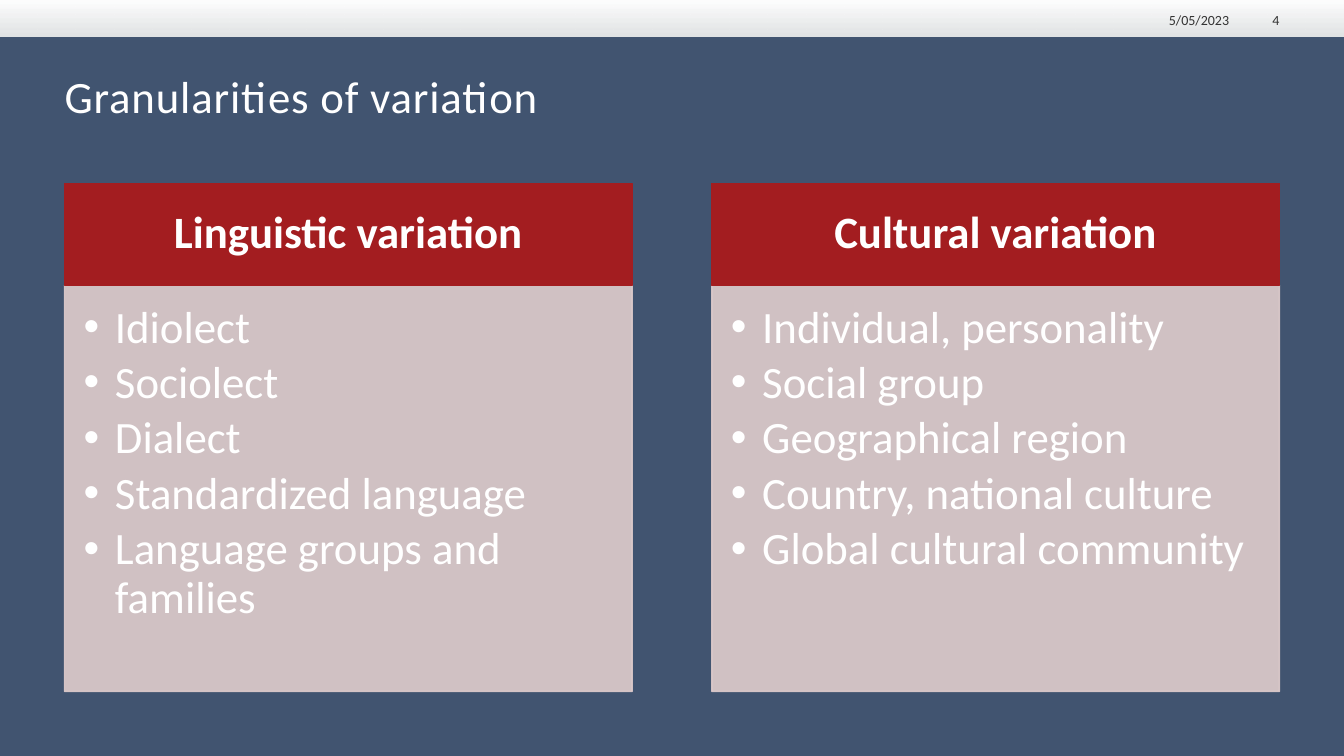
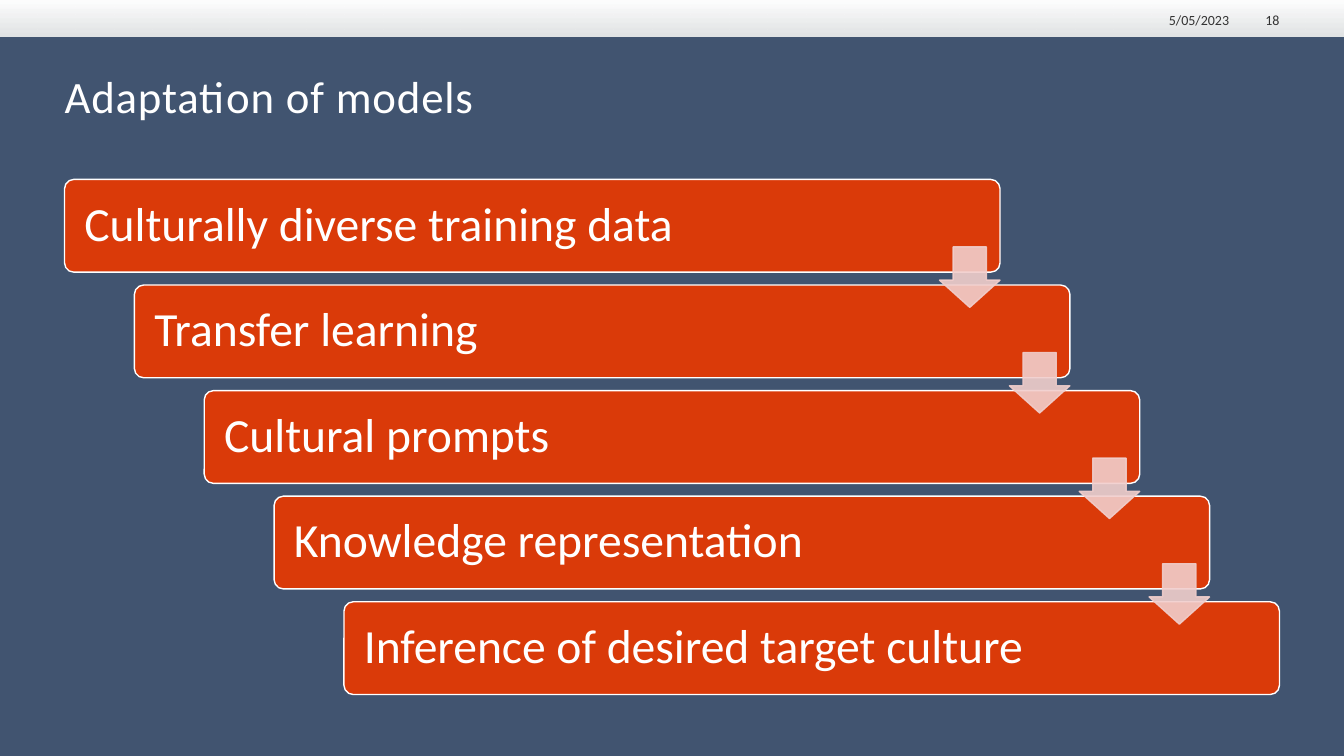
from lxml.etree import SubElement
from pptx import Presentation
from pptx.dml.color import RGBColor
from pptx.enum.shapes import MSO_SHAPE as SHAPE
from pptx.enum.text import MSO_ANCHOR as ANCHOR, MSO_AUTO_SIZE as AUTO, PP_ALIGN as ALIGN
from pptx.oxml.ns import qn
from pptx.util import Inches, Pt

COLORS = {
    "back": "415470", "white": "FFFFFF", "band": "EEEFEE", "meta": "333333",
    "header": "A31D20", "panel": "E0CDCD", "step": "DA3A09", "arrow": "F1CECC",
}
FONT = "Calibri"
DATE = "5/05/2023"
W, H = 13.33, 7.5
LEFT, WIDE = 0.64, 12.05
RIGHT = LEFT + WIDE


def write(sp, lines, size, color="white", bold=None, align=ALIGN.LEFT, anchor=ANCHOR.TOP,
          margins=(0, 0, 0, 0), leading=None, after=0, spacing=None, bullet=None):
    """Fill a shape with one paragraph per line; margins run left, top, right, bottom."""
    tf = sp.text_frame
    tf.word_wrap, tf.auto_size, tf.vertical_anchor = True, AUTO.NONE, anchor
    tf.margin_left, tf.margin_top, tf.margin_right, tf.margin_bottom = map(Inches, margins)
    for i, line in enumerate(lines):
        p = tf.add_paragraph() if i else tf.paragraphs[0]
        p.alignment, p.line_spacing = align, leading
        p.space_before, p.space_after = Pt(0), Pt(after)
        if bullet:
            pPr = p._p.get_or_add_pPr()
            pPr.set("marL", str(Inches(0.31)))
            pPr.set("indent", str(-Inches(0.31)))
            SubElement(pPr, qn("a:buChar"), char=bullet)
        r = p.add_run()
        r.text = line
        r.font.name, r.font.size, r.font.bold = FONT, Pt(size), bold
        r.font.color.rgb = RGBColor.from_string(COLORS[color])
        if spacing:
            r._r.get_or_add_rPr().set("spc", str(spacing))


def paint(sp, fill, line, opacity=100):
    sp.shadow.inherit = False
    sp.fill.solid()
    sp.fill.fore_color.rgb = RGBColor.from_string(COLORS[fill])
    sp.line.color.rgb = RGBColor.from_string(COLORS[line])
    sp.line.width = Pt(1)
    if opacity < 100:
        for color in sp.element.xpath("p:spPr//a:srgbClr"):
            SubElement(color, qn("a:alpha"), val=str(opacity * 1000))


prs = Presentation()
prs.slide_width, prs.slide_height = Inches(W), Inches(H)

# Master: background, title position and top band
master = prs.slide_master
master.background.fill.solid()
master.background.fill.fore_color.rgb = RGBColor.from_string(COLORS["back"])
title = master.placeholders[0]
title.left, title.top, title.width, title.height = map(Inches, (LEFT, 0.68, WIDE, 0.94))

# Slides with title, date and number
slides = []
for layout, heading, number in ((3, "Granularities of variation", "4"),
                                (5, "Adaptation of models", "18")):
    s = prs.slides.add_slide(prs.slide_layouts[layout])
    write(s.shapes.title, [heading], 32, spacing=60)
    for text, right, width in ((DATE, 12.19, 0.89), (number, RIGHT, 0.42)):
        box = s.shapes.add_textbox(Inches(right - width), Inches(0.09), Inches(width), Inches(0.19))
        write(box, [text], 10, "meta", align=ALIGN.RIGHT, anchor=ANCHOR.BOTTOM, after=6)
    slides.append(s)
variation, adaptation = slides

band = variation.shapes.add_shape(SHAPE.RECTANGLE, 0, 0, Inches(W), Inches(0.36))
band.shadow.inherit = False
band.line.fill.background()
band.fill.gradient()
band.fill.gradient_angle = 270
for stop, color in zip(band.fill.gradient_stops, ("white", "band")):
    stop.color.rgb = RGBColor.from_string(COLORS[color])
SubElement(band.element.xpath("p:spPr//a:srgbClr")[-1], qn("a:alpha"), val="93000")
master.shapes.element.insert(2, band.element)

# Slide 1: two columns, each a header over a list
COLUMNS = {
    "Linguistic variation": ["Idiolect", "Sociolect", "Dialect", "Standardized language",
                             "Language groups and families"],
    "Cultural variation": ["Individual, personality", "Social group", "Geographical region",
                           "Country, national culture", "Global cultural community"],
}
COL_W, HEAD_TOP, HEAD_H, LIST_H = 5.63, 1.82, 1.01, 4.03
for i, (heading, items) in enumerate(COLUMNS.items()):
    x = LEFT + i * (WIDE - COL_W)
    head = variation.shapes.add_shape(SHAPE.RECTANGLE, *map(Inches, (x, HEAD_TOP, COL_W, HEAD_H)))
    paint(head, "header", "header")
    write(head, [heading], 32, bold=True, align=ALIGN.CENTER, anchor=ANCHOR.MIDDLE,
          margins=(0.25, 0.14, 0.25, 0.14), leading=0.9)
    body = variation.placeholders[i + 1]
    body.left, body.top, body.width, body.height = map(
        Inches, (x, HEAD_TOP + HEAD_H, COL_W, LIST_H))
    paint(body, "panel", "panel", opacity=90)
    write(body, items, 32, margins=(0.19, 0.19, 0.25, 0.28), leading=0.9, after=5, bullet="•")

# Slide 2: staircase of steps joined by arrows
STEPS = ["Culturally diverse training data", "Transfer learning", "Cultural prompts",
         "Knowledge representation", "Inference of desired target culture"]
STEP_W, STEP_H, TOP, BOTTOM, ARROW = 0.77 * WIDE, 0.92, 1.78, 6.89, 0.6
dx = (WIDE - STEP_W) / (len(STEPS) - 1)
dy = (BOTTOM - TOP - STEP_H) / (len(STEPS) - 1)
for i, text in enumerate(STEPS):
    step = adaptation.shapes.add_shape(
        SHAPE.ROUNDED_RECTANGLE, *map(Inches, (LEFT + i * dx, TOP + i * dy, STEP_W, STEP_H)))
    step.adjustments[0] = 0.1
    paint(step, "step", "white")
    write(step, [text], 34, anchor=ANCHOR.MIDDLE, margins=(0.17, 0.14, 0.17, 0.14), leading=0.9)
for i in range(len(STEPS) - 1):
    x = LEFT + i * dx + STEP_W - ARROW
    arrow = adaptation.shapes.add_shape(
        SHAPE.DOWN_ARROW, *map(Inches, (x, TOP + i * dy + 0.67, ARROW, ARROW)))
    arrow.adjustments[0], arrow.adjustments[1] = 0.55, 0.45
    paint(arrow, "arrow", "arrow", opacity=90)

prs.save("out.pptx")
